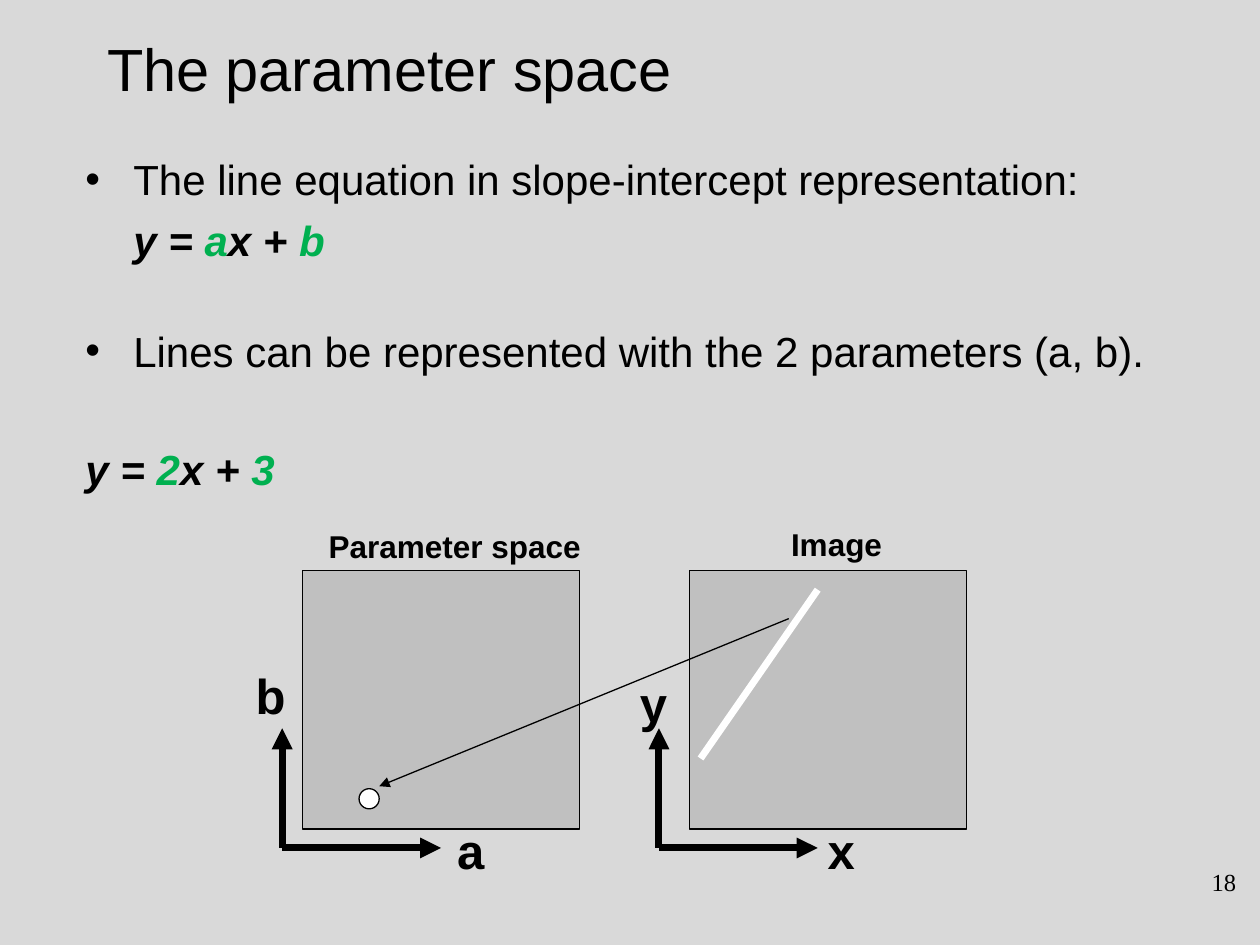
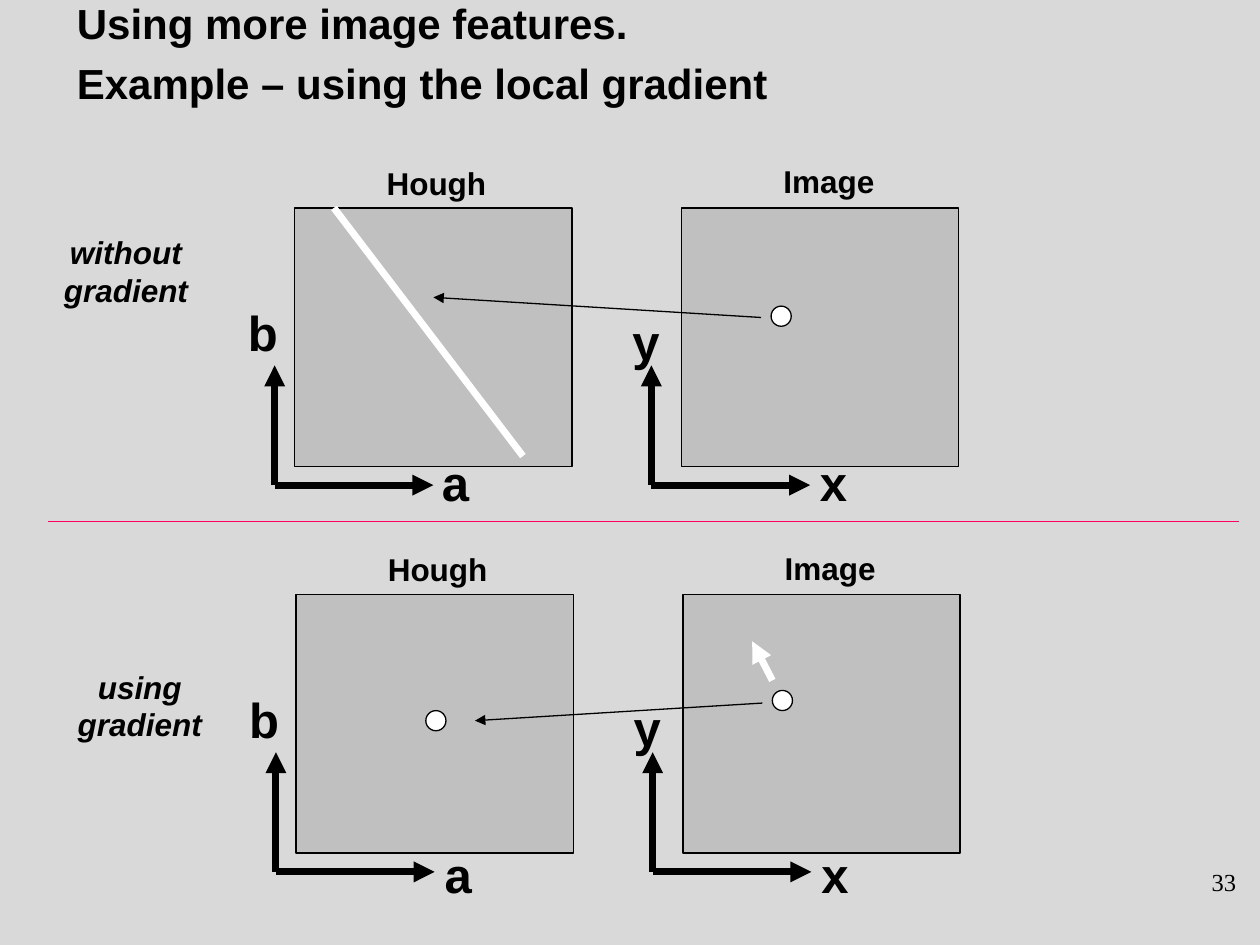
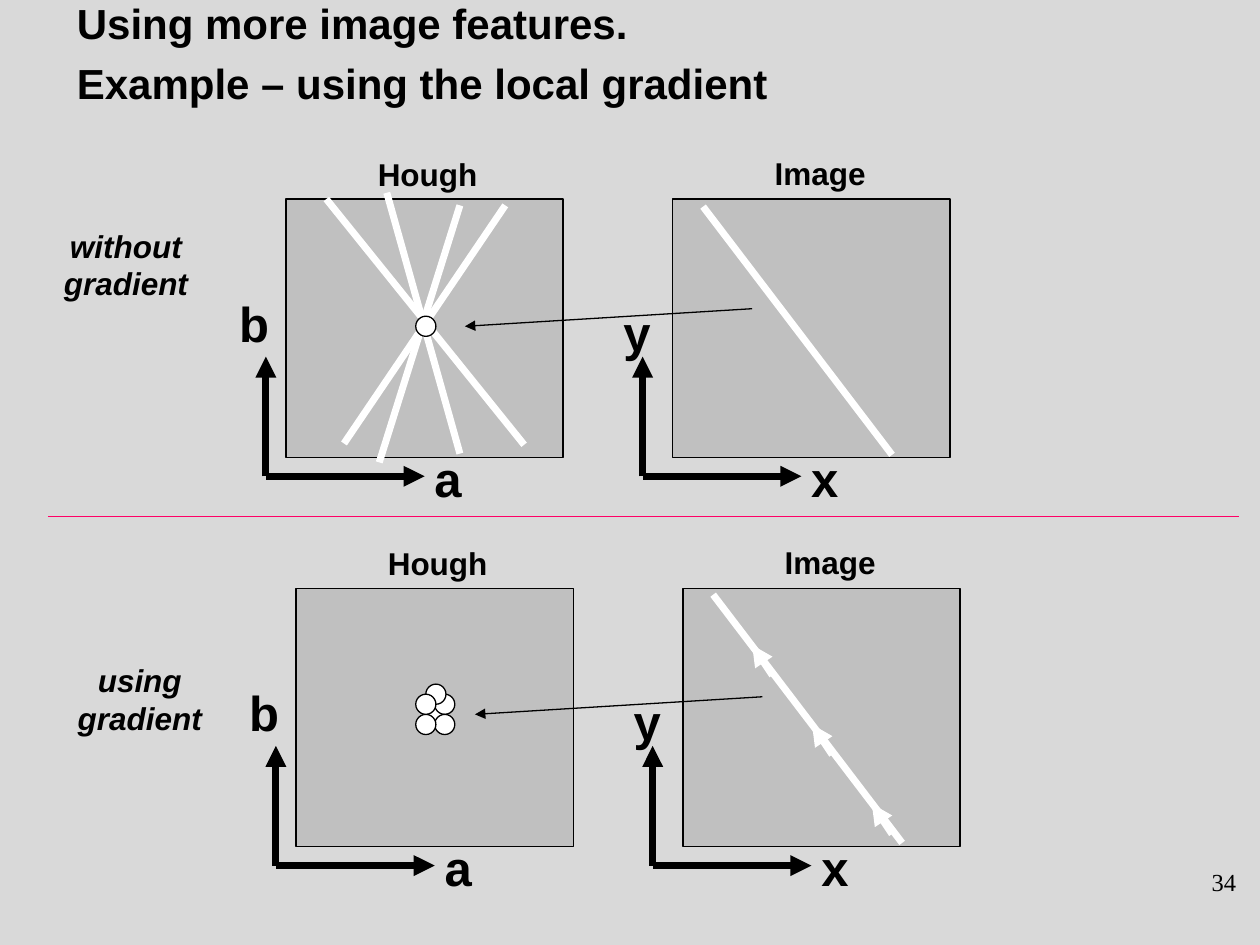
from dataclasses import dataclass

from lxml import etree
from pptx import Presentation
from pptx.dml.color import RGBColor
from pptx.enum import shapes, text
from pptx.oxml import ns
from pptx.util import Inches, Pt

BACKGROUND = RGBColor(0xD9, 0xD9, 0xD9)
PLOT_GRAY = RGBColor(0xC0, 0xC0, 0xC0)
BLACK = RGBColor(0, 0, 0)
WHITE = RGBColor(0xFF, 0xFF, 0xFF)
GREEN = RGBColor(0x00, 0xB0, 0x50)
DIVIDER_PINK = RGBColor(0xFF, 0x00, 0x66)

SANS = "Arial"
SERIF = "Times New Roman"
THIN, THICK = 0.75, 4
LEFT, CENTER, RIGHT = text.PP_ALIGN.LEFT, text.PP_ALIGN.CENTER, text.PP_ALIGN.RIGHT

PLOT_WIDTH, PLOT_HEIGHT = 2.2, 2.05
PLOT_PITCH = 3.07
AXIS_PITCH = 2.99
DOT_SIZE = 0.16
BULLET_INDENT = 0.38

Point = tuple[float, float]


@dataclass
class TextStyle:
    size: float
    font: str = SANS
    bold: bool = False
    italic: bool = False
    align: text.PP_ALIGN = LEFT


@dataclass
class PlotPair:
    """Parameter plot on the left, image plot on the right."""
    left: float
    top: float
    name: str = "Hough"
    name_left: float = 0.63
    name_width: float = 1.0
    a_left: float = 1.08
    label_drop: float = 1.93


@dataclass
class Stroke:
    start: Point
    end: Point
    color: RGBColor = WHITE
    width: float = THICK
    arrow: bool = False


@dataclass
class BodyLine:
    spans: list[tuple[str, RGBColor]]
    space_before: float = 0
    bullet: bool = False
    indent: float = 0


TITLE = TextStyle(34)
HEADING = TextStyle(24, bold=True)
BODY = TextStyle(24)
FORMULA = TextStyle(24, bold=True, italic=True)
PLOT_NAME = TextStyle(18, bold=True)
AXIS_NAME = TextStyle(28, bold=True)
CASE_NAME = TextStyle(18, bold=True, italic=True, align=CENTER)
PAGE_NUMBER = TextStyle(14, font=SERIF, align=RIGHT)


# Text
def format_span(span, style: TextStyle, color: RGBColor = BLACK) -> None:
    span.font.name = style.font
    span.font.size = Pt(style.size)
    span.font.bold = style.bold
    span.font.italic = style.italic
    span.font.color.rgb = color


def fill_text(frame, words: str, style: TextStyle) -> None:
    frame.word_wrap = True
    frame.text = words
    for para in frame.paragraphs:
        para.alignment = style.align
        for span in para.runs:
            format_span(span, style)


def add_label(page, left: float, top: float, width: float, height: float,
              words: str, style: TextStyle) -> None:
    box = page.shapes.add_textbox(Inches(left), Inches(top), Inches(width), Inches(height))
    fill_text(box.text_frame, words, style)


def add_page(deck, number: int):
    page = deck.slides.add_slide(deck.slide_layouts[5])
    add_label(page, 7.83, 6.83, 2.08, 0.5, str(number), PAGE_NUMBER)
    return page


def set_title(page, left: float, top: float, width: float, height: float,
              words: str, style: TextStyle, anchor: text.MSO_ANCHOR) -> None:
    title = page.shapes.title
    title.left, title.top = Inches(left), Inches(top)
    title.width, title.height = Inches(width), Inches(height)
    frame = title.text_frame
    fill_text(frame, words, style)
    frame.auto_size = text.MSO_AUTO_SIZE.NONE
    frame.vertical_anchor = anchor
    for para in frame.paragraphs[1:]:
        para.space_before = Pt(5.5)


def add_body(page, lines: list[BodyLine]) -> None:
    box = page.shapes.add_textbox(Inches(0.58), Inches(1.17), Inches(8.83), Inches(3))
    frame = box.text_frame
    frame.word_wrap = True
    for index, line in enumerate(lines):
        para = frame.add_paragraph() if index else frame.paragraphs[0]
        properties = para._p.get_or_add_pPr()
        properties.set("marL", str(Inches(line.indent)))
        if line.bullet:
            properties.set("indent", str(-Inches(line.indent)))
            etree.SubElement(properties, ns.qn("a:buFont")).set("typeface", SANS)
            etree.SubElement(properties, ns.qn("a:buChar")).set("char", "•")
        if index:
            para.space_before = Pt(line.space_before)
        for words, color in line.spans:
            span = para.add_run()
            span.text = words
            format_span(span, BODY if line.bullet else FORMULA, color)


# Drawing
def add_stroke(page, stroke: Stroke) -> None:
    ends = [Inches(value) for value in (*stroke.start, *stroke.end)]
    line = page.shapes.add_connector(shapes.MSO_CONNECTOR.STRAIGHT, *ends)
    line.line.color.rgb = stroke.color
    line.line.width = Pt(stroke.width)
    if stroke.arrow:
        etree.SubElement(line.line._get_or_add_ln(), ns.qn("a:tailEnd")).set("type", "triangle")
    etree.SubElement(line._element.spPr, ns.qn("a:effectLst"))


def add_pointer(page, start: Point, end: Point) -> None:
    add_stroke(page, Stroke(start, end, BLACK, THIN, True))


def add_outlined(page, kind: shapes.MSO_SHAPE, left: float, top: float,
                 width: float, height: float, fill: RGBColor) -> None:
    shape = page.shapes.add_shape(kind, Inches(left), Inches(top), Inches(width), Inches(height))
    shape.shadow.inherit = False
    shape.fill.solid()
    shape.fill.fore_color.rgb = fill
    shape.line.color.rgb = BLACK
    shape.line.width = Pt(THIN)


def add_dot(page, left: float, top: float) -> None:
    add_outlined(page, shapes.MSO_SHAPE.OVAL, left, top, DOT_SIZE, DOT_SIZE, WHITE)


def add_plots(page, pair: PlotPair) -> None:
    left, top = pair.left, pair.top
    for column in range(2):
        add_outlined(page, shapes.MSO_SHAPE.RECTANGLE, left + column * PLOT_PITCH, top,
                     PLOT_WIDTH, PLOT_HEIGHT, PLOT_GRAY)
        corner = (left - 0.16 + column * AXIS_PITCH, top + 2.2)
        for end in ((corner[0] + 1.26, corner[1]), (corner[0], corner[1] - 0.95)):
            add_stroke(page, Stroke(corner, end, BLACK, THICK, True))
    add_label(page, left + pair.name_left, top - 0.4, pair.name_width, 0.4, pair.name, PLOT_NAME)
    add_label(page, left + 3.78, top - 0.41, 0.94, 0.4, "Image", PLOT_NAME)
    for words, across, down in (("b", -0.47, 0.7), ("y", 2.58, 0.77),
                                ("a", pair.a_left, pair.label_drop),
                                ("x", 4.07, pair.label_drop)):
        add_label(page, left + across, top + down, 0.44, 0.57, words, AXIS_NAME)


# Slides
def build_parameter_space(deck) -> None:
    page = add_page(deck, 18)
    set_title(page, 0.75, 0.08, 8.5, 0.92, "The parameter space", TITLE, text.MSO_ANCHOR.MIDDLE)
    add_body(page, [
        BodyLine([("The line equation in slope-intercept representation:", BLACK)],
                 bullet=True, indent=BULLET_INDENT),
        BodyLine([("y = ", BLACK), ("a", GREEN), ("x + ", BLACK), ("b", GREEN)],
                 6, indent=BULLET_INDENT),
        BodyLine([("Lines can be represented with the 2 parameters (a, b).", BLACK)],
                 34.5, True, BULLET_INDENT),
        BodyLine([("y = ", BLACK), ("2", GREEN), ("x + ", BLACK), ("3", GREEN)], 39),
    ])
    add_plots(page, PlotPair(2.4, 4.53, "Parameter space", 0.11, 2.22, a_left=1.13))
    add_dot(page, 2.85, 6.26)
    add_stroke(page, Stroke((6.49, 4.68), (5.56, 6.02)))
    add_pointer(page, (6.26, 4.91), (3.01, 6.24))


def add_comparison(deck, number: int, upper: PlotPair, lower: PlotPair,
                   divider_top: float, upper_case_top: float):
    page = add_page(deck, number)
    set_title(page, 0.51, -0.07, 9, 1.45,
              "Using more image features.\nExample – using the local gradient",
              HEADING, text.MSO_ANCHOR.TOP)
    add_plots(page, upper)
    add_plots(page, lower)
    add_stroke(page, Stroke((0.38, divider_top), (9.83, divider_top), DIVIDER_PINK, THIN))
    add_label(page, 0.12, upper_case_top, 1.76, 0.7, "without gradient", CASE_NAME)
    add_label(page, 0.23, lower.top + 0.53, 1.76, 0.7, "using gradient", CASE_NAME)
    return page


def build_single_point(deck) -> None:
    page = add_comparison(deck, 33, PlotPair(2.34, 1.65, a_left=1.07, label_drop=1.89),
                          PlotPair(2.35, 4.72), 4.14, 1.8)
    # One image point votes for a whole line
    add_stroke(page, Stroke((2.65, 1.65), (4.15, 3.62)))
    add_dot(page, 6.12, 2.43)
    add_pointer(page, (6.04, 2.52), (3.44, 2.36))
    # With its gradient it votes for one point
    add_stroke(page, Stroke((6.13, 5.4), (5.97, 5.09), arrow=True))
    add_dot(page, 3.38, 5.64)
    add_dot(page, 6.13, 5.48)
    add_pointer(page, (6.05, 5.58), (3.77, 5.72))


def build_many_points(deck) -> None:
    page = add_comparison(deck, 34, PlotPair(2.27, 1.58), PlotPair(2.35, 4.67), 4.1, 1.75)
    # Votes crossing at one point, and the image line behind them
    for start, end in (((2.59, 1.58), (4.16, 3.53)), ((3.07, 1.53), (3.65, 3.6)),
                       ((3.65, 1.63), (3.01, 3.67)), ((4.01, 1.63), (2.73, 3.52)),
                       ((5.58, 1.64), (7.08, 3.61))):
        add_stroke(page, Stroke(start, end))
    add_dot(page, 3.3, 2.51)
    add_pointer(page, (5.97, 2.45), (3.69, 2.59))
    # Cluster of votes, and the image line with its gradients
    for left, top in ((3.38, 5.59), (3.45, 5.51), (3.45, 5.67),
                      (3.3, 5.67), (3.38, 5.43), (3.3, 5.51)):
        add_dot(page, left, top)
    add_stroke(page, Stroke((5.66, 4.72), (7.16, 6.69)))
    for step in range(3):
        tip = (5.97 + step * 0.475, 5.12 + step * 0.63)
        add_stroke(page, Stroke((tip[0] + 0.16, tip[1] + 0.24), tip, arrow=True))
    add_pointer(page, (6.05, 5.53), (3.77, 5.67))


def main() -> None:
    deck = Presentation()
    deck.slide_width, deck.slide_height = Inches(10), Inches(7.5)
    backdrop = deck.slide_master.background.fill
    backdrop.solid()
    backdrop.fore_color.rgb = BACKGROUND
    build_parameter_space(deck)
    build_single_point(deck)
    build_many_points(deck)
    deck.save("out.pptx")


if __name__ == "__main__":
    main()
